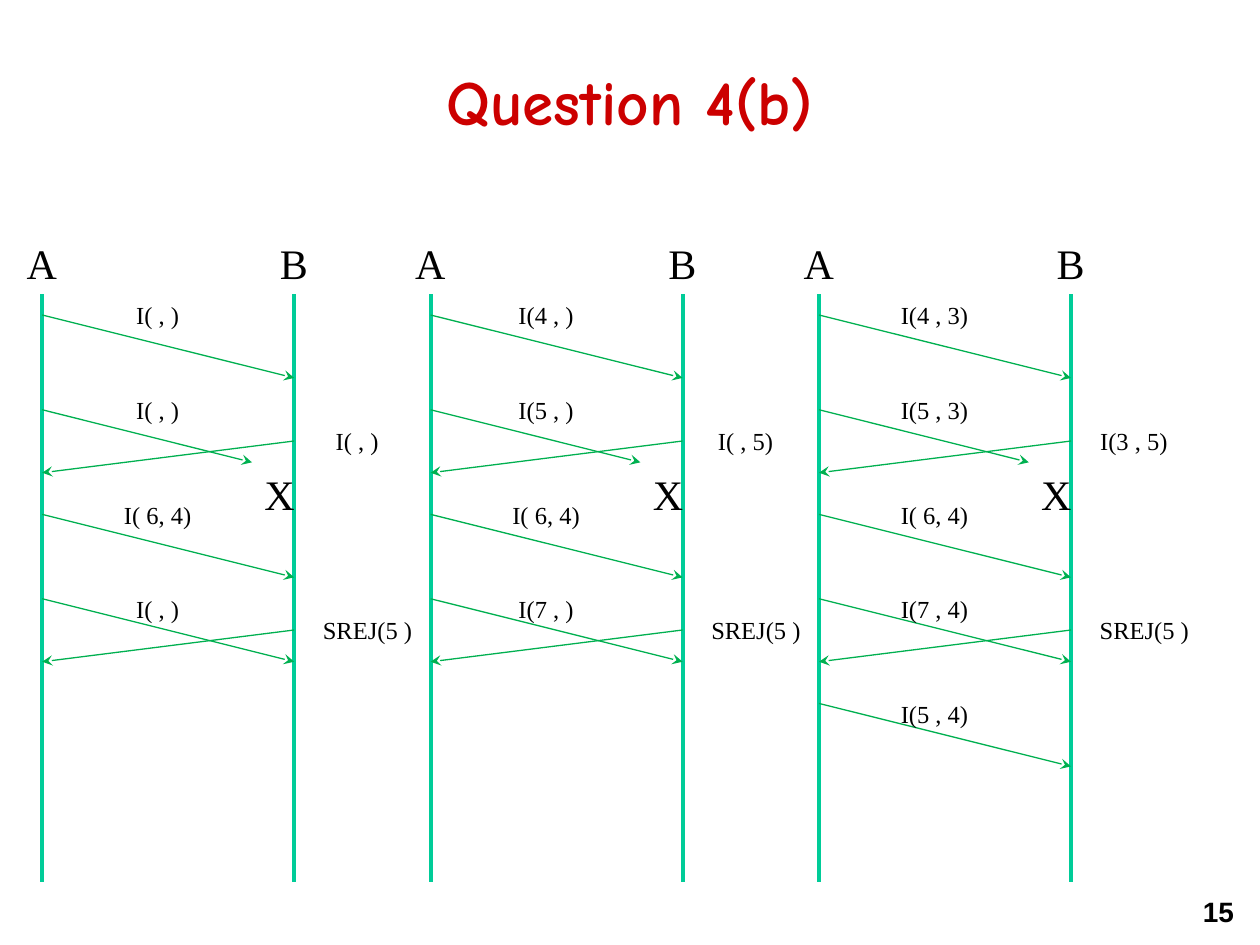
from lxml import etree
from pptx import Presentation
from pptx.dml.color import RGBColor
from pptx.enum.shapes import MSO_CONNECTOR
from pptx.enum.text import MSO_ANCHOR, MSO_AUTO_SIZE, PP_ALIGN
from pptx.oxml.ns import qn
from pptx.util import Cm, Pt

STRAIGHT = MSO_CONNECTOR.STRAIGHT
TOP, MIDDLE = MSO_ANCHOR.TOP, MSO_ANCHOR.MIDDLE
FIT, FIXED = MSO_AUTO_SIZE.SHAPE_TO_FIT_TEXT, MSO_AUTO_SIZE.NONE
LEFT, CENTER = PP_ALIGN.LEFT, PP_ALIGN.CENTER

FIRST_STATION = 0.85
EXCHANGE_PITCH = 7.83
STATION_GAP = 5.08
LIFE_TOP, LIFE_BOTTOM = 5.93, 17.78
FRAME_DROP, REPLY_DROP = 1.27, 0.64
LOST_SPAN, LOST_DROP = 4.23, 1.06

FRAME_STARTS = [6.35, 8.26, 10.37, 12.07, 14.18]
FRAME_LABEL_TOPS = [5.93, 7.83, 9.95, 11.85, 13.97]
LOST_FRAME = 1
REPLY_STARTS = [8.89, 12.7]
REPLY_LABEL_TOPS = [8.47, 12.28]
REPLY_LABEL_WIDTHS = [2.12, 2.54]

EXCHANGES = [
    (["I( , )", "I( , )", "I( 6, 4)", "I( , )"], ["I( , )", "SREJ(5 )"]),
    (["I(4 , )", "I(5 , )", "I( 6, 4)", "I(7 , )"], ["I( , 5)", "SREJ(5 )"]),
    (["I(4 , 3)", "I(5 , 3)", "I( 6, 4)", "I(7 , 4)", "I(5 , 4)"],
     ["I(3 , 5)", "SREJ(5 )"]),
]


def color(value):
    return RGBColor.from_string(value)


class Diagram:
    FORMATS = {
        "title": {"name": "Comic Neue", "size": Pt(36), "bold": True},
        "number": {"name": "Arial", "size": Pt(16), "bold": True},
        "station": {"name": "Times New Roman", "size": Pt(24)},
        "message": {"name": "Times New Roman", "size": Pt(14)},
    }
    TEXT_COLORS = {"title": "CC0000"}
    LIFELINE = ("00CC98", 2.25)
    ARROW = ("00B050", 0.75)

    def __init__(self, slide):
        self.slide = slide

    def text(self, wording, left, top, width, height, style,
             alignment=CENTER, anchor=TOP, fit=FIT):
        box = self.slide.shapes.add_textbox(
            Cm(left), Cm(top), Cm(width), Cm(height))
        frame = box.text_frame
        frame_format = {"word_wrap": True, "auto_size": fit,
                        "vertical_anchor": anchor}
        for attribute, value in frame_format.items():
            setattr(frame, attribute, value)
        paragraph = frame.paragraphs[0]
        paragraph.alignment = alignment
        run = paragraph.add_run()
        run.text = wording
        for attribute, value in self.FORMATS[style].items():
            setattr(run.font, attribute, value)
        run.font.color.rgb = color(self.TEXT_COLORS.get(style, "000000"))

    def line(self, start, end, stroke):
        connector = self.slide.shapes.add_connector(
            STRAIGHT, *(Cm(value) for value in (*start, *end)))
        hue, weight = stroke
        connector.line.color.rgb = color(hue)
        connector.line.width = Pt(weight)
        etree.SubElement(connector._element.spPr, qn("a:effectLst"))
        return connector

    def arrow(self, start, end):
        outline = self.line(start, end, self.ARROW).line._get_or_add_ln()
        etree.SubElement(outline, qn("a:tailEnd"), type="stealth")

    def station(self, name, x):
        self.line((x, LIFE_TOP), (x, LIFE_BOTTOM), self.LIFELINE)
        self.text(name, x - 0.64, 4.66, 1.27, 1.02, "station")

    def exchange(self, sender, frames, replies):
        receiver = sender + STATION_GAP
        self.station("A", sender)
        self.station("B", receiver)
        sent = zip(frames, FRAME_STARTS, FRAME_LABEL_TOPS)
        for index, (wording, start, label_top) in enumerate(sent):
            if index == LOST_FRAME:
                span, drop = LOST_SPAN, LOST_DROP
            else:
                span, drop = STATION_GAP, FRAME_DROP
            self.arrow((sender, start), (sender + span, start + drop))
            self.text(wording, sender + 1.27, label_top, 2.12, 0.86, "message")
        answered = zip(replies, REPLY_STARTS, REPLY_LABEL_TOPS,
                       REPLY_LABEL_WIDTHS)
        for wording, start, label_top, width in answered:
            self.arrow((receiver, start), (sender, start + REPLY_DROP))
            self.text(wording, receiver + 0.21, label_top, width, 0.86,
                      "message")
        self.text("X", sender + LOST_SPAN, 9.31, 0.85, 1.02, "station", LEFT)


def main():
    presentation = Presentation()
    presentation.slide_width = Cm(25.4)
    presentation.slide_height = Cm(19.05)
    diagram = Diagram(
        presentation.slides.add_slide(presentation.slide_layouts[6]))
    diagram.text("Question 4(b)", 1.9, 0.43, 21.6, 3.18, "title",
                 anchor=MIDDLE, fit=FIXED)
    for index, (frames, replies) in enumerate(EXCHANGES):
        diagram.exchange(FIRST_STATION + index * EXCHANGE_PITCH,
                         frames, replies)
    diagram.text("15", 24, 17.91, 1.19, 0.91, "number", LEFT)
    presentation.save("out.pptx")


if __name__ == "__main__":
    main()
